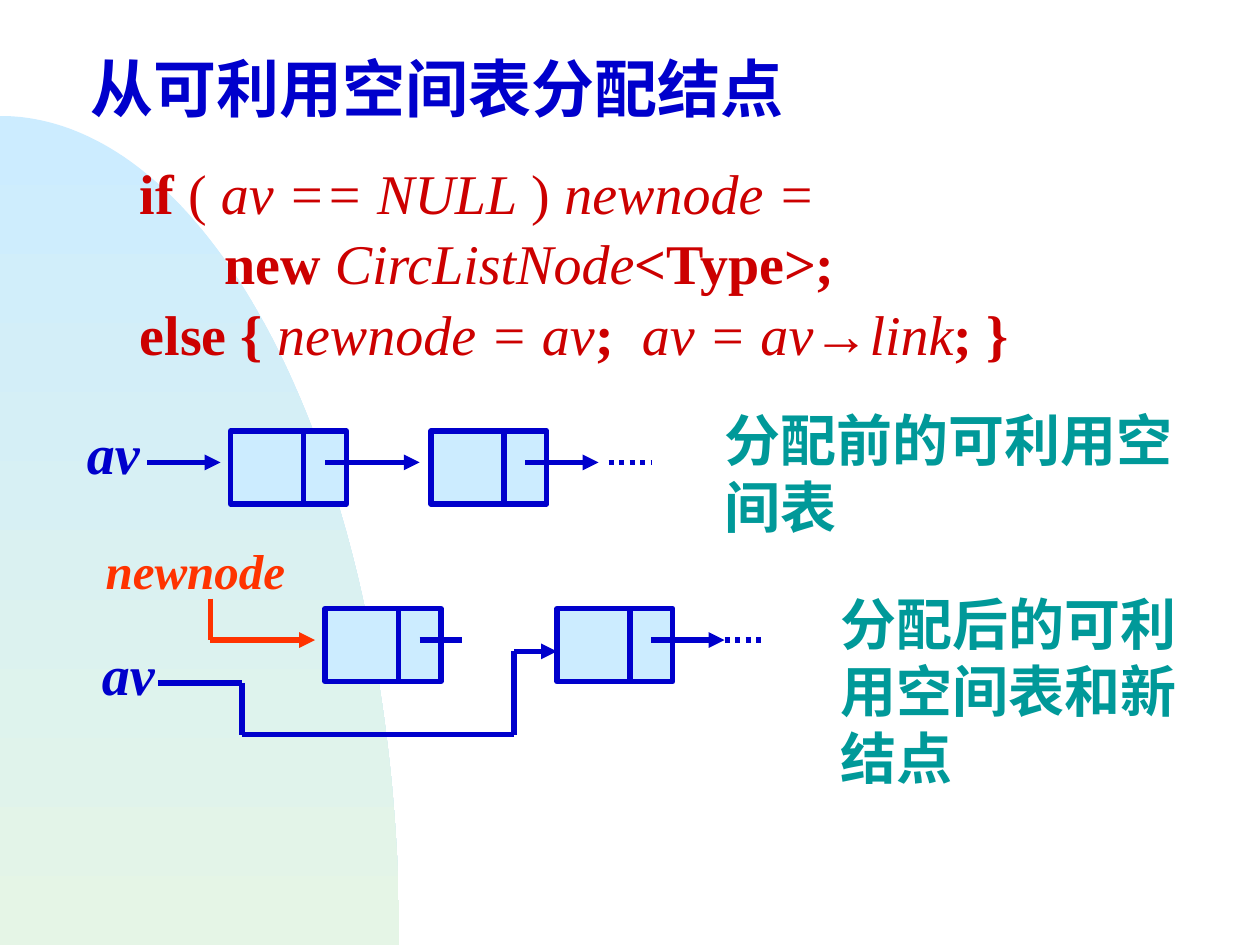
import math

import lxml.etree
import pptx
import pptx.dml.color
import pptx.enum.dml
import pptx.enum.shapes
import pptx.enum.text
import pptx.oxml.ns
import pptx.util

Inches = pptx.util.Inches
Pt = pptx.util.Pt
RGB = pptx.dml.color.RGBColor
qn = pptx.oxml.ns.qn

BLUE = RGB(0x00, 0x00, 0xCC)
RED = RGB(0xCC, 0x00, 0x00)
ORANGE = RGB(0xFF, 0x33, 0x00)
TEAL = RGB(0x00, 0x99, 0x99)
SKY = RGB(0xCC, 0xEC, 0xFF)
MINT = RGB(0xE5, 0xF5, 0xE6)

TITLE = "从可利用空间表分配结点"
PLAIN = {"bold": False, "italic": False}
BOLD = {"bold": True, "italic": False}
ITALIC = {"bold": False, "italic": True}
BOLD_ITALIC = {"bold": True, "italic": True}

CODE = [
    (0, [("if", BOLD), (" ( ", PLAIN), ("av == NULL", ITALIC), (" ) ", PLAIN),
         ("newnode =", ITALIC)]),
    (0.67, [("new ", BOLD), ("CircListNode", ITALIC), ("<Type>;", BOLD)]),
    (0, [("else {", BOLD), (" newnode = av", ITALIC), (";", BOLD),
         ("  av = av", ITALIC), ("→", PLAIN), ("link", ITALIC), ("; }", BOLD)]),
]
LABELS = [
    ("av", (0.59, 3.27, 0.62, 0.64), 32, BLUE, BOLD_ITALIC, False),
    ("newnode", (0.74, 4.24, 1.62, 0.57), 28, ORANGE, BOLD_ITALIC, False),
    ("av", (0.71, 5.03, 0.62, 0.64), 32, BLUE, BOLD_ITALIC, False),
    ("分配前的可利用空间表", (5.65, 3.17, 3.85, 1.17), 32, TEAL, BOLD, True),
    ("分配后的可利用空间表和新结点", (6.57, 4.63, 2.93, 1.7), 32, TEAL, BOLD, True),
]

NODE_W, NODE_H = 0.92, 0.58
DIVIDER_X, LINK_X, LINK_Y = 0.58, 0.75, 0.25
NODES = [
    (1.83, 3.42, 0.75, True),
    (3.42, 3.42, 0.58, True),
    (2.58, 4.83, 0.34, False),
    (4.42, 4.83, 0.58, True),
]
ROUTES = [
    (BLUE, [(1.17, 3.67), (1.75, 3.67)], True),
    (ORANGE, [(1.67, 4.75), (1.67, 5.08), (2.5, 5.08)], True),
    (BLUE, [(1.25, 5.42), (1.92, 5.42), (1.92, 5.83), (4.08, 5.83),
            (4.08, 5.17), (4.42, 5.17)], True),
]
DOTS = [((4.83, 3.67), (5.17, 3.67)), ((5.75, 5.08), (6.08, 5.08))]


def set_all(obj, values):
    for name, value in values.items():
        setattr(obj, name, value)


def format_frame(tf, inset_x, inset_y, wrap):
    set_all(tf, {
        "margin_left": Inches(inset_x), "margin_right": Inches(inset_x),
        "margin_top": Inches(inset_y), "margin_bottom": Inches(inset_y),
        "word_wrap": wrap,
        "auto_size": pptx.enum.text.MSO_AUTO_SIZE.NONE,
        "vertical_anchor": pptx.enum.text.MSO_ANCHOR.TOP,
    })


def add_run(p, text, size, color, style):
    r = p.add_run()
    r.text = text
    set_all(r.font, {"name": "Times New Roman", "size": Pt(size), **style})
    r.font.color.rgb = color


def add_text_box(slide, box, inset_x, inset_y, wrap):
    tf = slide.shapes.add_textbox(*map(Inches, box)).text_frame
    format_frame(tf, inset_x, inset_y, wrap)
    return tf


def add_line(slide, start, end, color=BLUE, arrow=False, dotted=False):
    sp = slide.shapes.add_connector(
        pptx.enum.shapes.MSO_CONNECTOR.STRAIGHT, *map(Inches, start + end))
    sp.line.color.rgb = color
    sp.line.width = Pt(3)
    if dotted:
        sp.line.dash_style = pptx.enum.dml.MSO_LINE.ROUND_DOT
    props = sp.element.spPr
    if arrow:
        lxml.etree.SubElement(props.find(qn("a:ln")), qn("a:tailEnd"), type="triangle")
    lxml.etree.SubElement(props, qn("a:effectLst"))


def add_node(slide, x, y, link_length, arrow):
    sp = slide.shapes.add_shape(
        pptx.enum.shapes.MSO_SHAPE.RECTANGLE, *map(Inches, (x, y, NODE_W, NODE_H)))
    sp.shadow.inherit = False
    sp.fill.solid()
    sp.fill.fore_color.rgb = SKY
    sp.line.color.rgb = BLUE
    sp.line.width = Pt(3)
    add_line(slide, (x + DIVIDER_X, y), (x + DIVIDER_X, y + NODE_H))
    link_x, link_y = x + LINK_X, y + LINK_Y
    add_line(slide, (link_x, link_y), (link_x + link_length, link_y), arrow=arrow)


def add_backdrop(slide, radius_x=3.17, radius_y=6.58, bottom=7.5, steps=90):
    angles = [math.pi / 2 * i / steps for i in range(steps + 1)]
    arc = [(Inches(radius_x * math.sin(a)), Inches(bottom - radius_y * math.cos(a)))
           for a in angles]
    builder = slide.shapes.build_freeform(0, Inches(bottom))
    builder.add_line_segments(arc, close=True)
    sp = builder.convert_to_shape()
    sp.shadow.inherit = False
    sp.line.fill.background()
    sp.fill.gradient()
    sp.fill.gradient_angle = 270
    for stop, color, position in zip(sp.fill.gradient_stops, (SKY, MINT), (0, 1)):
        stop.color.rgb = color
        stop.position = position


def main():
    prs = pptx.Presentation()
    set_all(prs, {"slide_width": Inches(10), "slide_height": Inches(7.5)})
    slide = prs.slides.add_slide(prs.slide_layouts[5])
    add_backdrop(slide)

    title = slide.shapes.title
    set_all(title, {"left": Inches(0.6), "top": Inches(0.33),
                    "width": Inches(5.75), "height": Inches(0.72)})
    format_frame(title.text_frame, 0.12, 0.06, False)
    p = title.text_frame.paragraphs[0]
    p.alignment = pptx.enum.text.PP_ALIGN.LEFT
    add_run(p, TITLE, 36, BLUE, BOLD)

    tf = add_text_box(slide, (0.99, 1.17, 8.93, 1.8), 0.12, 0.06, True)
    for i, (indent, runs) in enumerate(CODE):
        p = tf.add_paragraph() if i else tf.paragraphs[0]
        p.line_spacing = 1.05
        p._p.get_or_add_pPr().set("marL", str(Inches(indent)))
        for text, style in runs:
            add_run(p, text, 32, RED, style)

    for node in NODES:
        add_node(slide, *node)
    for color, points, arrow in ROUTES:
        last = len(points) - 2
        for i, (start, end) in enumerate(zip(points, points[1:])):
            add_line(slide, start, end, color, arrow and i == last)
    for start, end in DOTS:
        add_line(slide, start, end, dotted=True)
    for text, box, size, color, style, wrap in LABELS:
        tf = add_text_box(slide, box, 0.1, 0.05, wrap)
        add_run(tf.paragraphs[0], text, size, color, style)

    prs.save("out.pptx")


if __name__ == "__main__":
    main()
